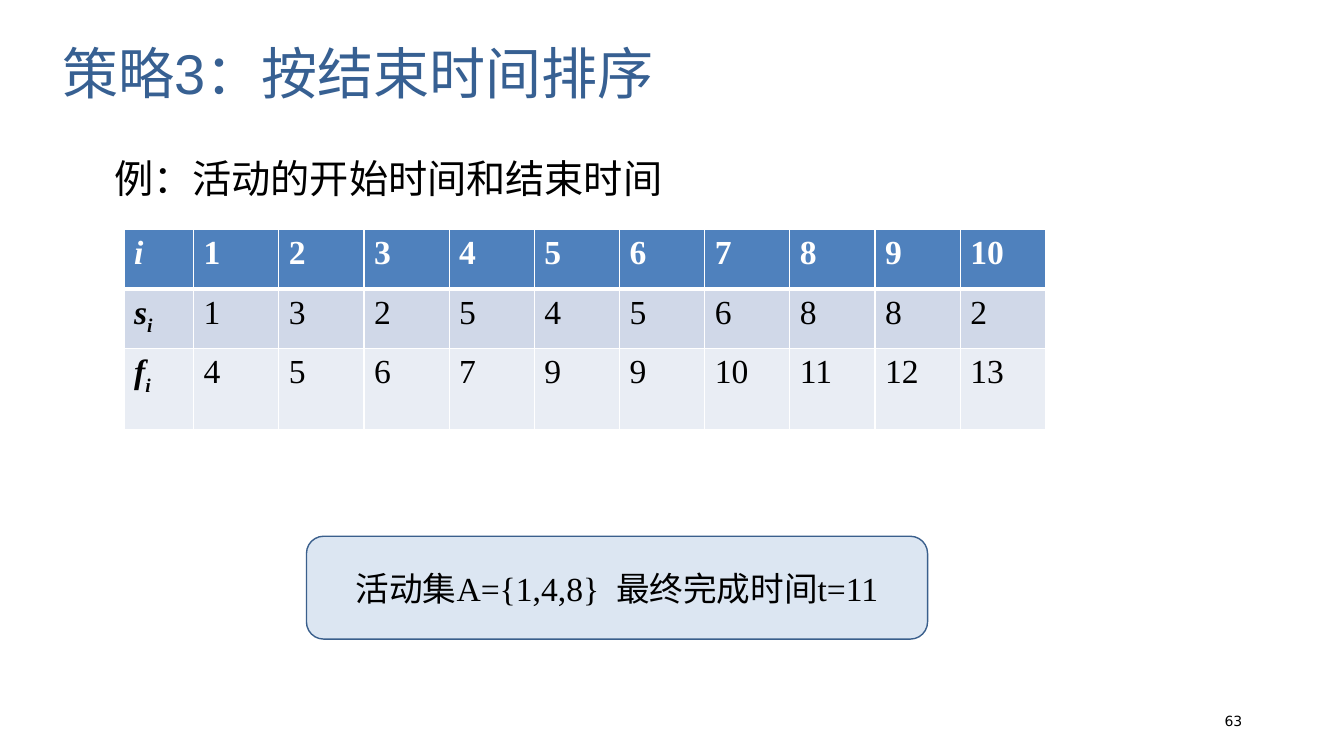
import dataclasses

import pptx
import pptx.dml.color
import pptx.enum.shapes
import pptx.enum.text
import pptx.oxml
import pptx.oxml.ns
import pptx.util

Inches = pptx.util.Inches
ALIGN = pptx.enum.text.PP_ALIGN
ANCHOR = pptx.enum.text.MSO_ANCHOR


@dataclasses.dataclass(frozen=True)
class Theme:
    """Colours, fonts and type sizes of the slide."""

    heading: str = "376092"
    ink: str = "000000"
    white: str = "FFFFFF"
    header_fill: str = "4F81BD"
    start_fill: str = "D0D8E8"
    finish_fill: str = "E9EDF4"
    result_fill: str = "DCE6F2"
    result_line: str = "3A5F8C"
    sans: str = "Arial"
    serif: str = "Times New Roman"
    number_font: str = "DejaVu Sans"
    heading_size: int = 40
    example_size: int = 28
    body_size: int = 24
    number_size: int = 10


THEME = Theme()
ACTIVITIES = [
    ("i", "", range(1, 11), THEME.header_fill),
    ("s", "i", (1, 3, 2, 5, 4, 5, 6, 8, 8, 2), THEME.start_fill),
    ("f", "i", (4, 5, 6, 7, 9, 9, 10, 11, 12, 13), THEME.finish_fill),
]


def rgb(code):
    """Turn a hex code into a colour."""
    return pptx.dml.color.RGBColor.from_string(code)


def write(frame, text, font=THEME.serif, size=THEME.body_size, color=THEME.ink,
          bold=False, italic=False, subscript="", align=ALIGN.LEFT,
          anchor=ANCHOR.TOP, line_spacing=None):
    """Write one formatted paragraph, with an optional subscript."""
    frame.word_wrap = True
    frame.vertical_anchor = anchor
    paragraph = frame.paragraphs[0]
    paragraph.alignment = align
    paragraph.line_spacing = line_spacing
    for part, baseline in ((text, "0"), (subscript, "-25000")):
        if not part:
            continue
        run = paragraph.add_run()
        run.text = part
        run.font.name = font
        run.font.size = pptx.util.Pt(size)
        run.font.bold = bold
        run.font.italic = italic
        run.font.color.rgb = rgb(color)
        run._r.get_or_add_rPr().set("baseline", baseline)


def add_label(slide, box, text, **style):
    """Add a text box at the given left, top, width and height."""
    label = slide.shapes.add_textbox(*map(Inches, box))
    write(label.text_frame, text, **style)


def set_borders(cell, top=1, bottom=1):
    """Draw white borders of the given point widths around a cell."""
    for side, width in (("L", 1), ("R", 1), ("T", top), ("B", bottom)):
        cell._tc.get_or_add_tcPr().append(pptx.oxml.parse_xml(
            f'<a:ln{side} {pptx.oxml.ns.nsdecls("a")} w="{pptx.util.Pt(width)}">'
            f'<a:solidFill><a:srgbClr val="{THEME.white}"/></a:solidFill>'
            f'</a:ln{side}>'))


def add_activity_table(slide, left, top):
    """Add the table of start and finish times."""
    widths = [0.69] + [0.845] * 10
    heights = [0.59, 0.59, 0.8]
    table = slide.shapes.add_table(
        len(heights), len(widths), Inches(left), Inches(top),
        Inches(sum(widths)), Inches(sum(heights))).table
    for column, width in zip(table.columns, widths):
        column.width = Inches(width)
    for index, (symbol, subscript, times, fill) in enumerate(ACTIVITIES):
        table.rows[index].height = Inches(heights[index])
        header = index == 0
        for position, value in enumerate([symbol, *times]):
            cell = table.cell(index, position)
            is_symbol = position == 0
            set_borders(cell, top=3 if index == 1 else 1, bottom=3 if header else 1)
            cell.fill.solid()
            cell.fill.fore_color.rgb = rgb(fill)
            write(cell.text_frame, str(value),
                  color=THEME.white if header else THEME.ink,
                  bold=header or is_symbol, italic=is_symbol,
                  subscript=subscript if is_symbol else "")


def add_result(slide, box, text):
    """Add the rounded box that states the result."""
    result = slide.shapes.add_shape(
        pptx.enum.shapes.MSO_SHAPE.ROUNDED_RECTANGLE, *map(Inches, box))
    result.shadow.inherit = False
    result.fill.solid()
    result.fill.fore_color.rgb = rgb(THEME.result_fill)
    result.line.color.rgb = rgb(THEME.result_line)
    result.line.width = pptx.util.Pt(1)
    write(result.text_frame, text, align=ALIGN.CENTER, anchor=ANCHOR.MIDDLE)


def main():
    """Build and save the slide."""
    deck = pptx.Presentation()
    deck.slide_width = Inches(13.33)
    deck.slide_height = Inches(7.5)
    slide = deck.slides.add_slide(deck.slide_layouts[6])
    add_label(slide, (0.52, 0.33, 8.3, 0.77), "策略3：按结束时间排序",
              font=THEME.sans, size=THEME.heading_size, color=THEME.heading)
    add_label(slide, (0.82, 1.47, 6.06, 0.64), "例：活动的开始时间和结束时间",
              font=THEME.sans, size=THEME.example_size, align=ALIGN.CENTER,
              anchor=ANCHOR.MIDDLE, line_spacing=0.9)
    add_activity_table(slide, 1.23, 2.28)
    add_result(slide, (3.04, 5.32, 6.16, 1.02), "活动集A={1,4,8}  最终完成时间t=11")
    add_label(slide, (9.42, 6.95, 3, 0.4), "63", font=THEME.number_font,
              size=THEME.number_size, align=ALIGN.RIGHT, anchor=ANCHOR.MIDDLE)
    deck.save("out.pptx")


if __name__ == "__main__":
    main()
